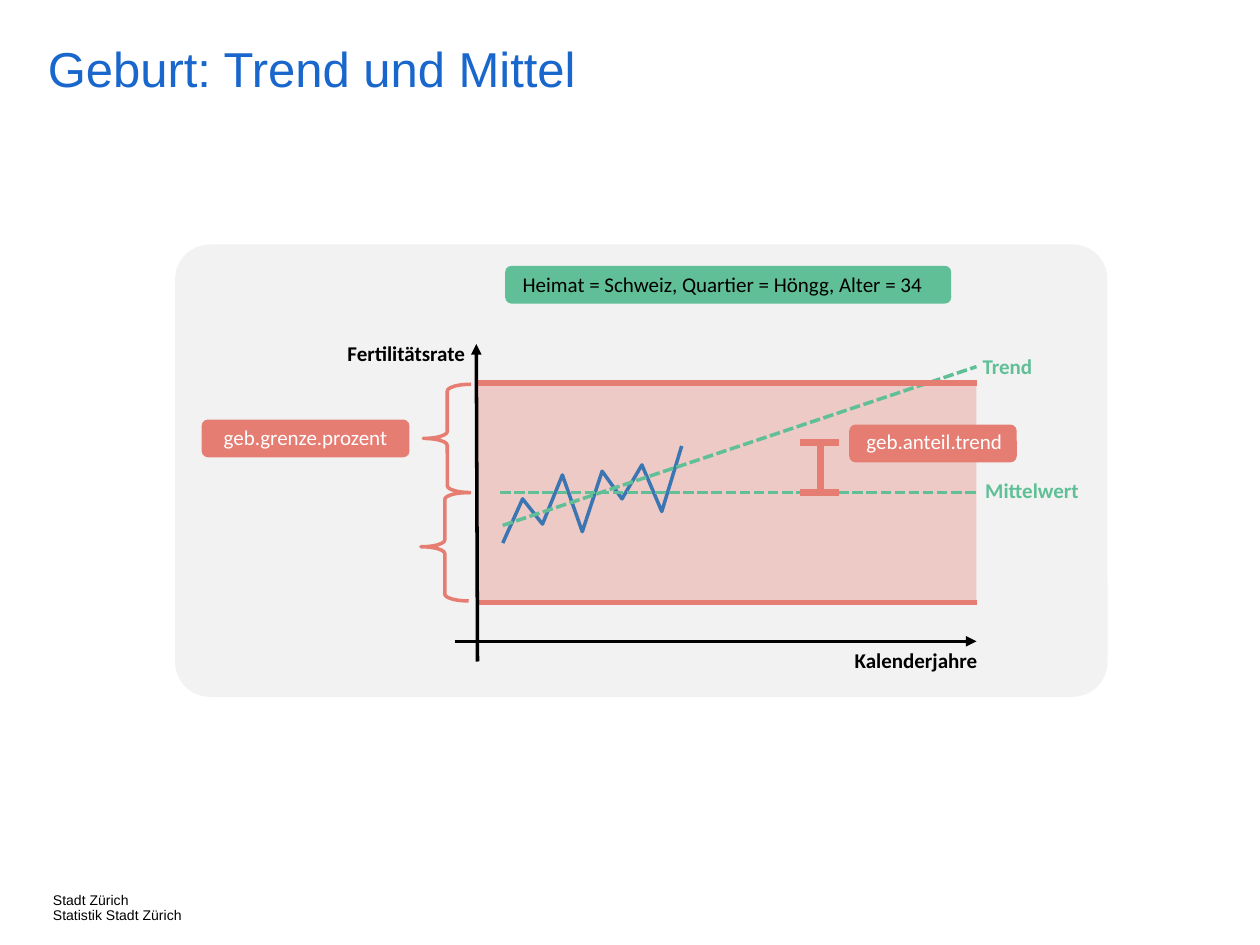
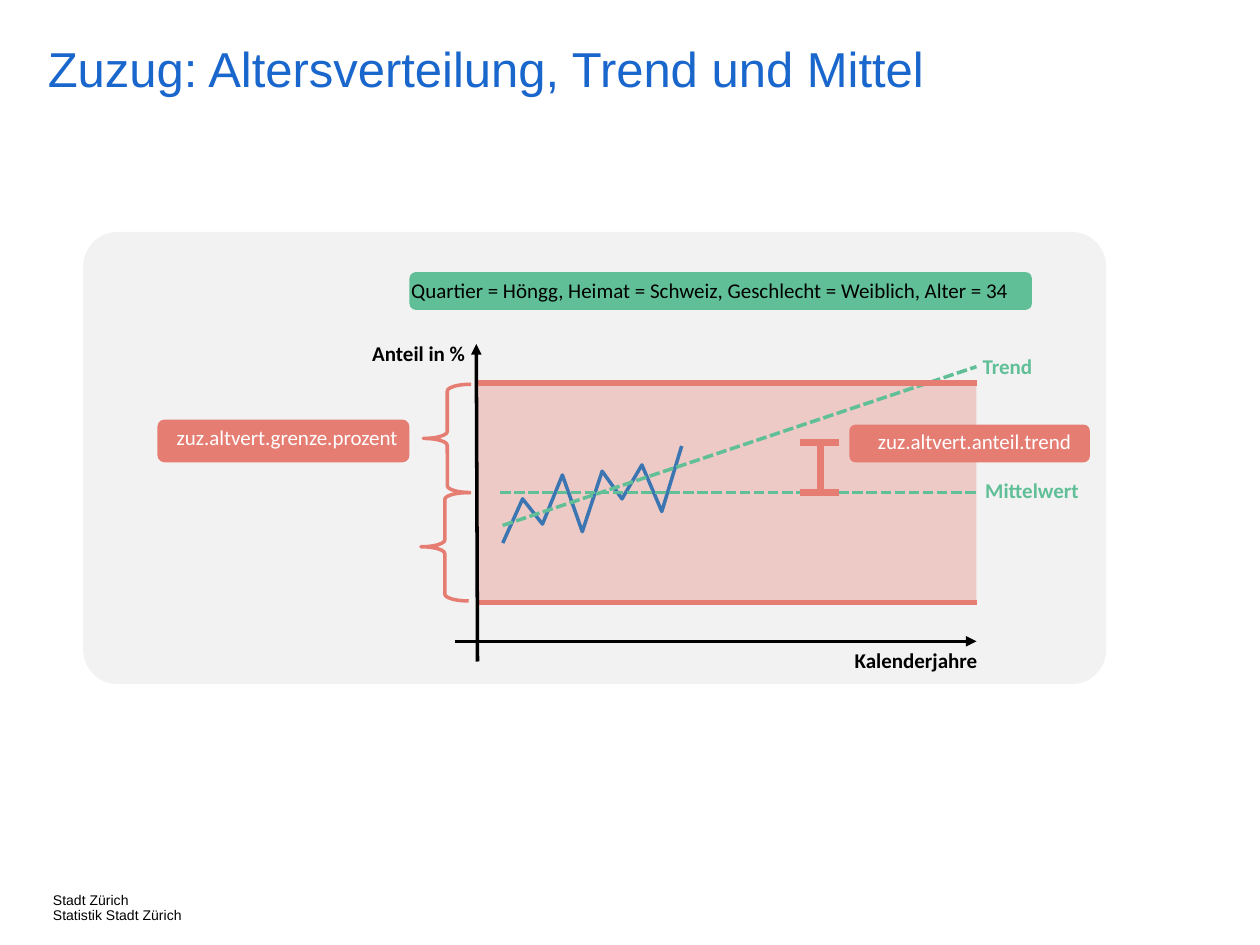
"""Two slides that explain how trend and mean are combined in a forecast."""
import dataclasses

import lxml.etree
import pptx
import pptx.dml.color
import pptx.enum.dml
import pptx.enum.shapes
import pptx.enum.text
import pptx.oxml.ns
import pptx.util

Shapes = pptx.enum.shapes.MSO_SHAPE
Align = pptx.enum.text.PP_ALIGN
qn = pptx.oxml.ns.qn

COLUMNS, ROWS = 100, 75  # grid over the whole slide


@dataclasses.dataclass(frozen=True)
class Theme:
    """Colours, fonts, type sizes and line widths."""
    title: str = "1966CC"
    ink: str = "000000"
    paper: str = "FFFFFF"
    panel: str = "F2F2F2"
    limit: str = "E67D73"
    model: str = "60BF97"
    observed: str = "3B76B3"
    heading_font: str = "Arial"
    label_font: str = "Calibri"
    title_size: int = 28
    label_size: int = 12
    footer_size: int = 8
    thin: int = 2
    medium: int = 3
    thick: int = 4


def rgb(code):
    """Turn a hex code into a colour value."""
    return pptx.dml.color.RGBColor.from_string(code)


def assign(target, values):
    """Set every attribute named in a dict of format values."""
    for name, value in values.items():
        setattr(target, name, value)


class Sketch:
    """Holds the style and the current slide and draws each kind of element."""

    def __init__(self, deck, theme):
        self.deck, self.theme, self.slide = deck, theme, None

    def x(self, columns):
        """Convert grid columns to a length."""
        return round(self.deck.slide_width * columns / COLUMNS)

    def y(self, rows):
        """Convert grid rows to a length."""
        return round(self.deck.slide_height * rows / ROWS)

    def box(self, left, top, width, height):
        """Convert a grid area to slide lengths."""
        return self.x(left), self.y(top), self.x(width), self.y(height)

    def fill_text(self, frame, lines, frame_format, paragraph_format, font_format, color):
        """Fill a text frame with formatted lines."""
        assign(frame, frame_format)
        frame.text = "\n".join(lines)
        for paragraph in frame.paragraphs:
            assign(paragraph, paragraph_format)
            for run in paragraph.runs:
                assign(run.font, font_format)
                run.font.color.rgb = rgb(color)

    def start(self, heading):
        """Open a slide with its title and the shared footer."""
        style = self.theme
        self.slide = self.deck.slides.add_slide(self.deck.slide_layouts.get_by_name("Title Only"))
        flush = dict.fromkeys(("margin_left", "margin_top", "margin_right", "margin_bottom"), 0)
        flush["vertical_anchor"] = pptx.enum.text.MSO_ANCHOR.TOP
        tight = {"line_spacing": 0.9, "alignment": Align.LEFT}

        title = self.slide.shapes.title
        area = self.box(3.8, 3.6, 84, 6.4)
        assign(title, dict(zip(("left", "top", "width", "height"), area)))
        self.fill_text(
            title.text_frame, [heading],
            {**flush, "word_wrap": True, "auto_size": pptx.enum.text.MSO_AUTO_SIZE.NONE},
            tight, {"name": style.heading_font, "size": pptx.util.Pt(style.title_size)},
            style.title)

        footer = self.slide.shapes.add_textbox(*self.box(4.2, 70.9, 13.1, 2))
        self.fill_text(
            footer.text_frame, ["Stadt Zürich", "Statistik Stadt Zürich"],
            {**flush, "word_wrap": False}, tight,
            {"name": style.heading_font, "size": pptx.util.Pt(style.footer_size)},
            style.ink)

    def area(self, place, color, kind=Shapes.RECTANGLE, corner=None, opacity=None):
        """Draw a filled shape without outline."""
        shape = self.slide.shapes.add_shape(kind, *self.box(*place))
        shape.shadow.inherit = False
        shape.fill.solid()
        shape.fill.fore_color.rgb = rgb(color)
        shape.line.fill.background()
        if corner is not None:
            shape.adjustments[0] = corner
        if opacity is not None:
            tint = shape.element.spPr.find(qn("a:solidFill"))[0]
            lxml.etree.SubElement(tint, qn("a:alpha")).set("val", str(opacity * 1000))

    def label(self, text, left, top, width, color, align=Align.CENTER, bold=False):
        """Place one line of label text."""
        label = self.slide.shapes.add_textbox(*self.box(left, top, width, 3))
        self.fill_text(
            label.text_frame, [text],
            {"word_wrap": True, "auto_size": pptx.enum.text.MSO_AUTO_SIZE.SHAPE_TO_FIT_TEXT},
            {"alignment": align},
            {"name": self.theme.label_font, "bold": bold,
             "size": pptx.util.Pt(self.theme.label_size)}, color)

    def tag(self, text, place, text_place, fill, color):
        """Draw a rounded tag and its text."""
        self.area(place, fill, Shapes.ROUNDED_RECTANGLE)
        self.label(text, *text_place, color)

    def outline(self, shape, color, width):
        """Give an open shape a plain line and no fill."""
        shape.shadow.inherit = False
        shape.fill.background()
        shape.line.color.rgb = rgb(color)
        shape.line.width = pptx.util.Pt(width)

    def brace(self, place):
        """Draw a brace that opens towards the plot."""
        brace = self.slide.shapes.add_shape(Shapes.LEFT_BRACE, *self.box(*place))
        brace.adjustments[0] = 0.142
        self.outline(brace, self.theme.limit, self.theme.thin)

    def line(self, start, end, color, width, dashed=False, arrow=False):
        """Draw a straight line, dashed or with an arrowhead if asked."""
        line = self.slide.shapes.add_connector(
            pptx.enum.shapes.MSO_CONNECTOR.STRAIGHT,
            self.x(start[0]), self.y(start[1]), self.x(end[0]), self.y(end[1]))
        line.line.color.rgb = rgb(color)
        line.line.width = pptx.util.Pt(width)
        if dashed:
            line.line.dash_style = pptx.enum.dml.MSO_LINE.SQUARE_DOT
        properties = line.element.spPr
        if arrow:
            stroke = properties.find(qn("a:ln"))
            lxml.etree.SubElement(stroke, qn("a:tailEnd")).set("type", "triangle")
        lxml.etree.SubElement(properties, qn("a:effectLst"))

    def series(self, first, last, heights, color):
        """Draw a zigzag through evenly spaced points."""
        step = (last - first) / (len(heights) - 1)
        points = [(self.x(first + step * i), self.y(row)) for i, row in enumerate(heights)]
        builder = self.slide.shapes.build_freeform(*points[0])
        builder.add_line_segments(points[1:], close=False)
        self.outline(builder.convert_to_shape(), color, self.theme.thin)


LEFT, RIGHT = 37.8, 77.5              # plot edges
UPPER, MEAN, LOWER = 30.4, 39.1, 47.8  # limits around the mean
OBSERVED = [43.1, 39.6, 41.6, 37.7, 42.2, 37.4, 39.6, 36.9, 40.6, 35.4]


def draw_model(sketch, content):
    """Draw one slide: plot with limits, mean, trend and parameter tags."""
    style = sketch.theme
    sketch.start(content["heading"])
    sketch.area(content["panel"], style.panel, Shapes.ROUNDED_RECTANGLE, corner=0.077)
    sketch.area((LEFT, UPPER, RIGHT - LEFT, LOWER - UPPER), style.limit, opacity=34)

    sketch.line((36.1, 50.9), (RIGHT, 50.9), style.ink, style.thin, arrow=True)
    sketch.label("Kalenderjahre", 66.5, 50.9, 12.4, style.ink, bold=True)
    sketch.label(content["measure"], 25.5, 26.5, 12.4, style.ink, Align.RIGHT, bold=True)
    sketch.tag(*content["group"], style.model, style.ink)
    sketch.tag(*content["limit"], style.limit, style.paper)

    sketch.series(39.9, 54.1, OBSERVED, style.observed)
    sketch.line((39.7, MEAN), (RIGHT, MEAN), style.model, style.thin, dashed=True)
    sketch.label("Mittelwert", 74.2, 37.4, 12.4, style.model, Align.RIGHT, bold=True)
    sketch.line((39.9, 41.7), (RIGHT, 29.1), style.model, style.thin, dashed=True)
    sketch.label("Trend", 76.5, 27.6, 6.4, style.model, Align.RIGHT, bold=True)

    for row in (LOWER, UPPER):
        sketch.line((LEFT, row), (RIGHT, row), style.limit, style.medium)
    sketch.line((37.9, 52.5), (LEFT, 27.3), style.ink, style.thin, arrow=True)
    for column, row in ((33.6, UPPER + 0.1), (33.4, MEAN)):
        sketch.brace((column, row, 3.8, 8.6))

    share_top, share_column = 35.1, 65.1
    sketch.line((share_column, share_top), (share_column, MEAN), style.limit, style.thick)
    for row in (share_top, MEAN):
        sketch.line((66.6, row), (63.5, row), style.limit, style.thick)
    sketch.tag(*content["share"], style.limit, style.paper)


# Each tag: text, area of the tag, then left, top and width of its text
BIRTH = {
    "heading": "Geburt: Trend und Mittel",
    "panel": (13.9, 19.4, 74, 35.9),
    "measure": "Fertilitätsrate",
    "group": ("Heimat = Schweiz, Quartier = Höngg, Alter = 34",
              (40.1, 21.1, 35.4, 3), (38.6, 21.1, 37.5)),
    "limit": ("geb.grenze.prozent", (16, 33.3, 16.5, 3), (16.2, 33.2, 16.1)),
    "share": ("geb.anteil.trend", (67.4, 33.7, 13.3, 3), (67.6, 33.5, 13.1)),
}
ARRIVAL = {
    "heading": "Zuzug: Altersverteilung, Trend und Mittel",
    "panel": (6.6, 18.4, 81.2, 35.9),
    "measure": "Anteil in %",
    "group": ("Quartier = Höngg, Heimat = Schweiz, Geschlecht = Weiblich, Alter = 34",
              (32.5, 21.6, 49.4, 3), (31.2, 21.5, 50.3)),
    "limit": ("zuz.altvert.grenze.prozent", (12.5, 33.3, 20, 3.4), (12.5, 33.2, 20.6)),
    "share": ("zuz.altvert.anteil.trend", (67.4, 33.7, 19.1, 3), (68.2, 33.5, 18.3)),
}


def main():
    """Build both slides and save the deck."""
    deck = pptx.Presentation()
    deck.slide_width, deck.slide_height = pptx.util.Inches(10), pptx.util.Inches(7.5)
    sketch = Sketch(deck, Theme())
    for content in (BIRTH, ARRIVAL):
        draw_model(sketch, content)
    deck.save("out.pptx")


main()
